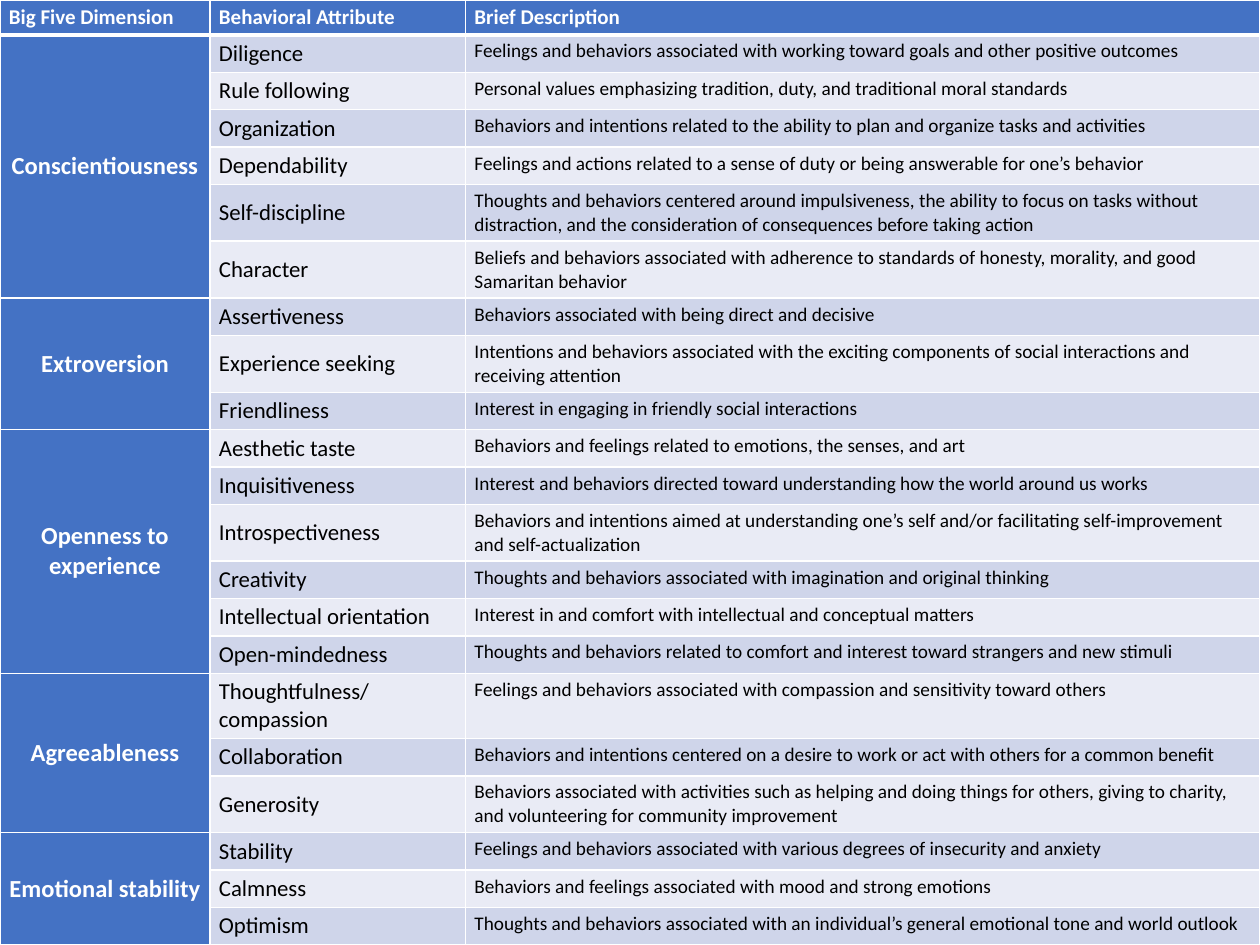
from lxml import etree
from pptx import Presentation
from pptx.dml.color import RGBColor
from pptx.enum.text import MSO_ANCHOR, PP_ALIGN
from pptx.oxml.ns import qn
from pptx.util import Pt

TOP, MIDDLE = MSO_ANCHOR.TOP, MSO_ANCHOR.MIDDLE
LEFT, CENTER = PP_ALIGN.LEFT, PP_ALIGN.CENTER
FONT = "Calibri"
COLORS = {"blue": "4472C4", "dark band": "CFD5EA", "light band": "E9EBF5",
          "white": "FFFFFF", "black": "000000"}
COLUMN_WIDTHS = [120, 146, 454]
HEADER_HEIGHT, SINGLE, DOUBLE, TALL = 20, 21.35, 32.5, 37.25

HEADERS = ["Big Five Dimension", "Behavioral Attribute", "Brief Description"]
# Dimension -> (attribute, description, row height)
DIMENSIONS = {
    "Conscientiousness": [
        ("Diligence", "Feelings and behaviors associated with working toward goals and other positive outcomes", SINGLE),
        ("Rule following", "Personal values emphasizing tradition, duty, and traditional moral standards", SINGLE),
        ("Organization", "Behaviors and intentions related to the ability to plan and organize tasks and activities", SINGLE),
        ("Dependability", "Feelings and actions related to a sense of duty or being answerable for one’s behavior", SINGLE),
        ("Self-discipline", "Thoughts and behaviors centered around impulsiveness, the ability to focus on tasks without "
         "distraction, and the consideration of consequences before taking action", DOUBLE),
        ("Character", "Beliefs and behaviors associated with adherence to standards of honesty, morality, and good "
         "Samaritan behavior", DOUBLE),
    ],
    "Extroversion": [
        ("Assertiveness", "Behaviors associated with being direct and decisive", SINGLE),
        ("Experience seeking", "Intentions and behaviors associated with the exciting components of social interactions and "
         "receiving attention", DOUBLE),
        ("Friendliness", "Interest in engaging in friendly social interactions", SINGLE),
    ],
    "Openness to experience": [
        ("Aesthetic taste", "Behaviors and feelings related to emotions, the senses, and art", SINGLE),
        ("Inquisitiveness", "Interest and behaviors directed toward understanding how the world around us works", SINGLE),
        ("Introspectiveness", "Behaviors and intentions aimed at understanding one’s self and/or facilitating self-improvement "
         "and self-actualization", DOUBLE),
        ("Creativity", "Thoughts and behaviors associated with imagination and original thinking", SINGLE),
        ("Intellectual orientation", "Interest in and comfort with intellectual and conceptual matters", SINGLE),
        ("Open-mindedness", "Thoughts and behaviors related to comfort and interest toward strangers and new stimuli", SINGLE),
    ],
    "Agreeableness": [
        ("Thoughtfulness/\ncompassion", "Feelings and behaviors associated with compassion and sensitivity toward others", TALL),
        ("Collaboration", "Behaviors and intentions centered on a desire to work or act with others for a common benefit", SINGLE),
        ("Generosity", "Behaviors associated with activities such as helping and doing things for others, giving to charity, "
         "and volunteering for community improvement", DOUBLE),
    ],
    "Emotional stability": [
        ("Stability", "Feelings and behaviors associated with various degrees of insecurity and anxiety", SINGLE),
        ("Calmness", "Behaviors and feelings associated with mood and strong emotions", SINGLE),
        ("Optimism", "Thoughts and behaviors associated with an individual’s general emotional tone and world outlook", SINGLE),
    ],
}


def set_borders(cell, top=1, bottom=1):
    properties = cell._tc.get_or_add_tcPr()
    for side, width in (("L", 1), ("R", 1), ("T", top), ("B", bottom)):
        line = etree.SubElement(properties, qn(f"a:ln{side}"), w=str(Pt(width)))
        fill = etree.SubElement(line, qn("a:solidFill"))
        etree.SubElement(fill, qn("a:srgbClr"), val=COLORS["white"])


def write_cell(cell, text, *, size, fill, color="black", bold=False,
               align=LEFT, anchor=TOP, **borders):
    set_borders(cell, **borders)
    cell.fill.solid()
    cell.fill.fore_color.rgb = RGBColor.from_string(COLORS[fill])
    cell.margin_left = cell.margin_right = Pt(5.15)
    cell.margin_top = cell.margin_bottom = Pt(2.6)
    cell.vertical_anchor = anchor
    cell.text_frame.text = text
    for para in cell.text_frame.paragraphs:
        para.alignment = align
        for span in para.runs:
            span.font.name = FONT
            span.font.size = Pt(size)
            span.font.bold = bold
            span.font.color.rgb = RGBColor.from_string(COLORS[color])


deck = Presentation()
deck.slide_width, deck.slide_height = Pt(720), Pt(540)
page = deck.slides.add_slide(deck.slide_layouts[6])

# Table grid
heights = [HEADER_HEIGHT] + [height for rows in DIMENSIONS.values() for *_, height in rows]
table = page.shapes.add_table(len(heights), len(COLUMN_WIDTHS), 0, 0, Pt(720), Pt(540)).table
for column, width in zip(table.columns, COLUMN_WIDTHS):
    column.width = Pt(width)
for row, height in zip(table.rows, heights):
    row.height = Pt(height)

# Header row
for index, header in enumerate(HEADERS):
    write_cell(table.cell(0, index), header, size=12, fill="blue", color="white",
               bold=True, bottom=3)

# One merged cell per dimension, beside its banded attribute rows
row_index = 1
for dimension, rows in DIMENSIONS.items():
    first = row_index
    for attribute, description, _ in rows:
        band = "dark band" if row_index % 2 else "light band"
        top = 3 if row_index == 1 else 1
        write_cell(table.cell(row_index, 0), dimension if row_index == first else "",
                   size=14, fill="blue", color="white", bold=True,
                   align=CENTER, anchor=MIDDLE, top=top)
        write_cell(table.cell(row_index, 1), attribute, size=13, fill=band,
                   anchor=MIDDLE, top=top)
        write_cell(table.cell(row_index, 2), description, size=11, fill=band, top=top)
        row_index += 1
    table.cell(first, 0).merge(table.cell(row_index - 1, 0))

deck.save("out.pptx")
